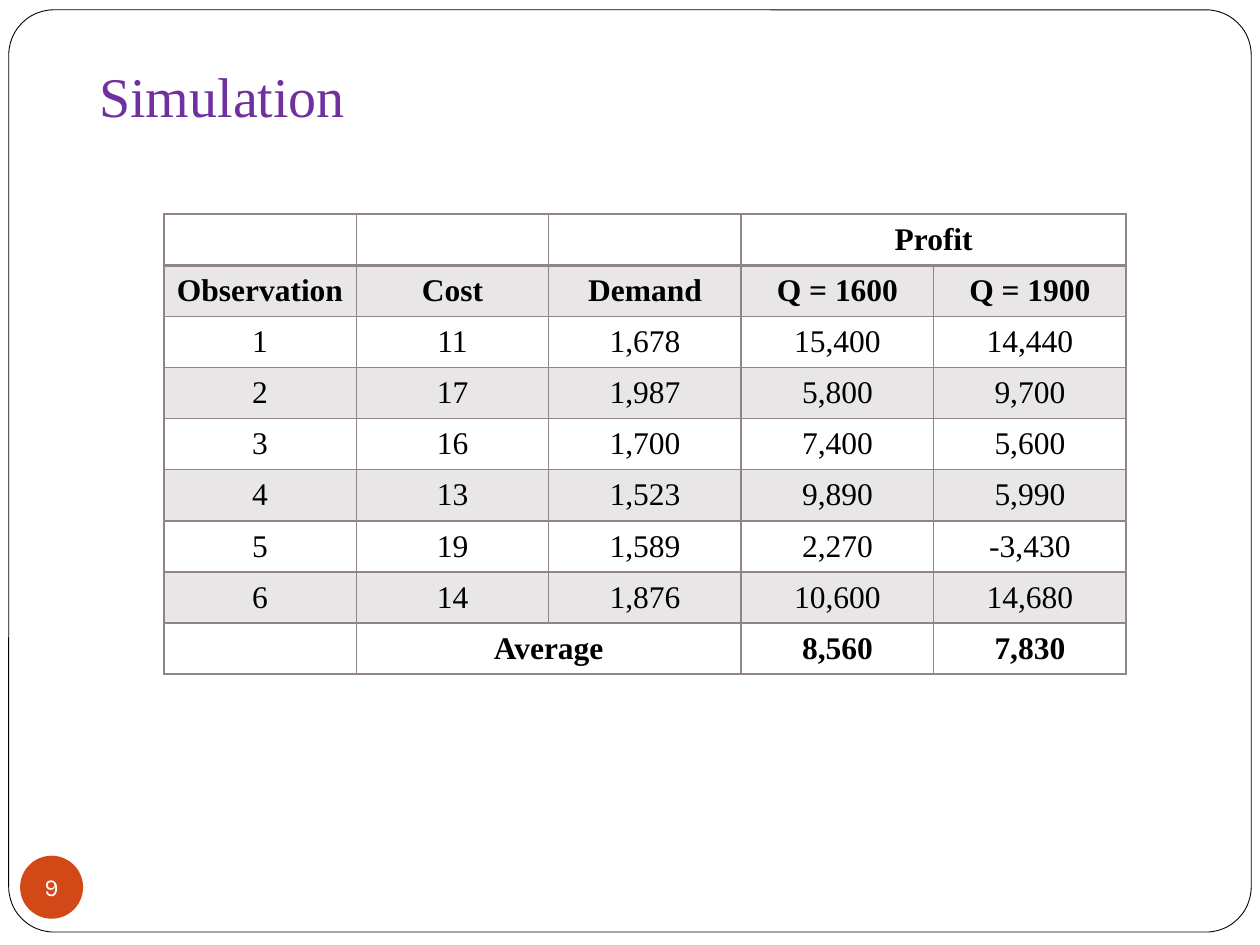
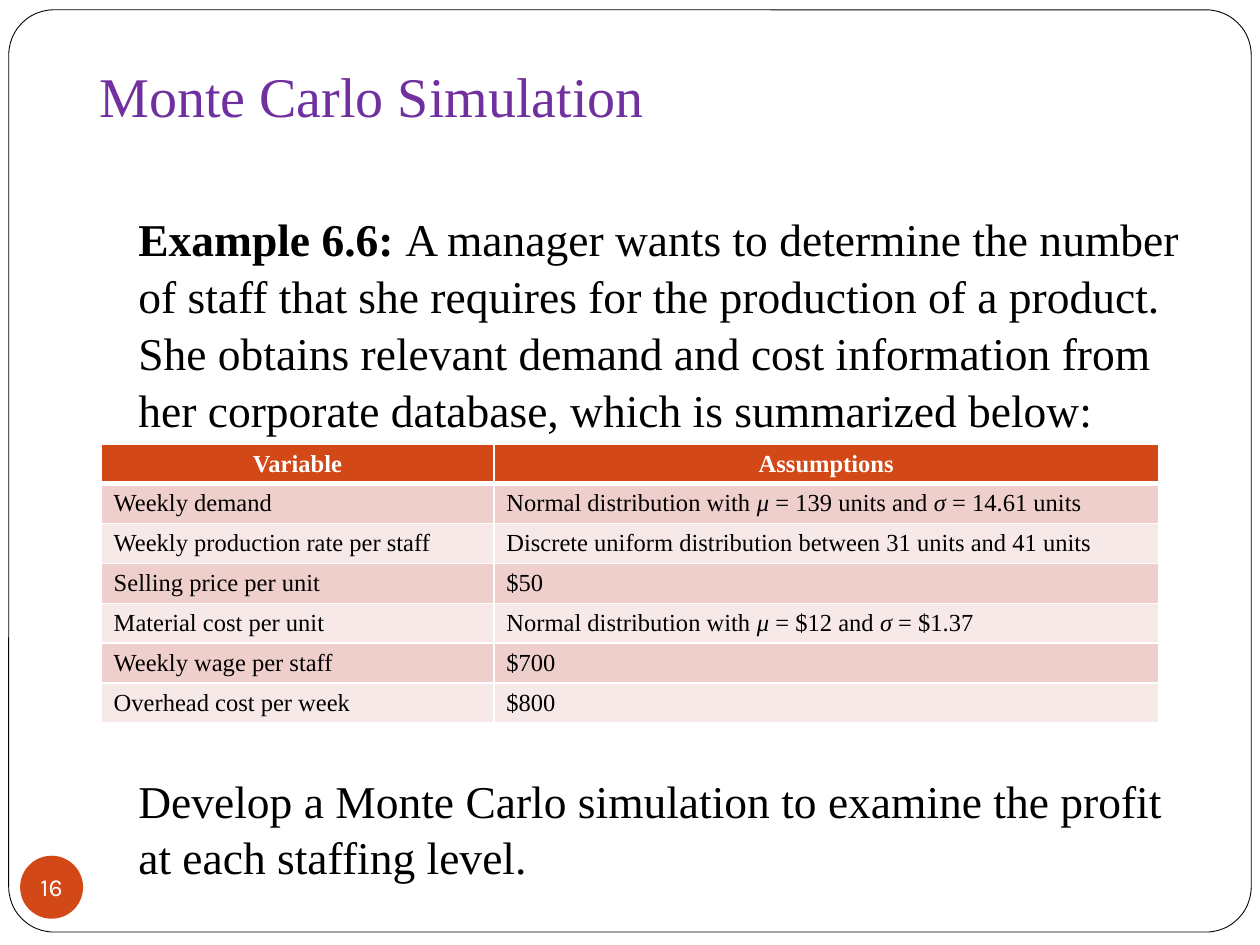
from lxml import etree
from pptx import Presentation
from pptx import util as u
from pptx.dml.color import RGBColor
from pptx.enum import shapes, text
from pptx.oxml.ns import qn

Pt = u.Pt
rgb = RGBColor.from_string
SERIF, SANS = "Times New Roman", "Karla"
PURPLE, ORANGE, BLACK, WHITE = "7030A0", "D34817", "000000", "FFFFFF"
TAUPE, TAUPE_TINT = "918485", "E9E6E7"
ROSE, ROSE_TINT = "EFCFCC", "F7E9E8"
LEFT, CENTER = text.PP_ALIGN.LEFT, text.PP_ALIGN.CENTER
MIDDLE, BOTTOM = text.MSO_ANCHOR.MIDDLE, text.MSO_ANCHOR.BOTTOM


def write(p, content, size, color, face=SERIF, align=LEFT, bold=False, mark="italic"):
    """Add runs to a paragraph; parts between asterisks get the mark format."""
    p.alignment = align
    p.font.size = Pt(size)
    for i, part in enumerate(content.split("*")):
        if not part:
            continue
        r = p.add_run()
        r.text = part
        fmt = {"name": face, "size": Pt(size), "bold": bold, "italic": False}
        if i % 2:
            fmt[mark] = True
        for key, value in fmt.items():
            setattr(r.font, key, value)
        r.font.color.rgb = rgb(color)


def style_cell(cell, fill, line, top, bottom):
    """Set margins, borders (top and bottom widths in points) and fill."""
    fmt = {"margin_left": Pt(side_margin), "margin_right": Pt(side_margin),
           "margin_top": Pt(3), "margin_bottom": Pt(3), "vertical_anchor": MIDDLE}
    for key, value in fmt.items():
        setattr(cell, key, value)
    tcPr = cell._tc.get_or_add_tcPr()
    for tag, width in (("a:lnL", 1), ("a:lnR", 1), ("a:lnT", top), ("a:lnB", bottom)):
        ln = etree.SubElement(tcPr, qn(tag), w=str(Pt(width)))
        solid = etree.SubElement(ln, qn("a:solidFill"))
        etree.SubElement(solid, qn("a:srgbClr"), val=line)
    cell.fill.solid()
    cell.fill.fore_color.rgb = rgb(fill)


prs = Presentation()
prs.slide_width, prs.slide_height = Pt(720), Pt(540)

# Frame, title and number badge on every slide
slides = []
for title, number in (("Simulation", "9"), ("Monte Carlo Simulation", "16")):
    s = prs.slides.add_slide(prs.slide_layouts[6])
    slides.append(s)

    frame = s.shapes.add_shape(shapes.MSO_SHAPE.ROUNDED_RECTANGLE,
                               Pt(5), Pt(5.6), Pt(710), Pt(527))
    frame.adjustments[0] = 0.049
    frame.shadow.inherit = False
    frame.fill.solid()
    frame.fill.fore_color.rgb = rgb(WHITE)
    frame.line.color.rgb = rgb(BLACK)
    frame.line.width = Pt(0.5)

    tf = s.shapes.add_textbox(Pt(49.7), Pt(-9.4), Pt(612), Pt(90)).text_frame
    tf.word_wrap = True
    tf.vertical_anchor = BOTTOM
    tf.margin_bottom = Pt(7.2)
    write(tf.paragraphs[0], title, 32, PURPLE)

    badge = s.shapes.add_shape(shapes.MSO_SHAPE.OVAL, Pt(11.5), Pt(489), Pt(36), Pt(36))
    badge.shadow.inherit = False
    badge.fill.solid()
    badge.fill.fore_color.rgb = rgb(ORANGE)
    badge.line.fill.background()
    tf = badge.text_frame
    for key, value in {"margin_left": 0, "margin_right": 0, "margin_top": 0,
                       "margin_bottom": 0, "word_wrap": False,
                       "vertical_anchor": MIDDLE}.items():
        setattr(tf, key, value)
    write(tf.paragraphs[0], number, 14, WHITE, SANS, CENTER)

# Profit of six simulated observations
profits = [
    ("", "", "", "Profit", ""),
    ("Observation", "Cost", "Demand", "Q = 1600", "Q = 1900"),
    ("1", "11", "1,678", "15,400", "14,440"),
    ("2", "17", "1,987", "5,800", "9,700"),
    ("3", "16", "1,700", "7,400", "5,600"),
    ("4", "13", "1,523", "9,890", "5,990"),
    ("5", "19", "1,589", "2,270", "-3,430"),
    ("6", "14", "1,876", "10,600", "14,680"),
    ("", "Average", "", "8,560", "7,830"),
]
side_margin = 4
table = slides[0].shapes.add_table(9, 5, Pt(93.6), Pt(122.4), Pt(550), Pt(262.8)).table
table.horz_banding = False
for col in table.columns:
    col.width = Pt(110)
for i, values in enumerate(profits):
    table.rows[i].height = Pt(29.2)
    for j, value in enumerate(values):
        cell = table.cell(i, j)
        style_cell(cell, TAUPE_TINT if i % 2 else WHITE, TAUPE,
                   2 if i == 1 else 1, 2 if i == 0 else 1)
        write(cell.text_frame.paragraphs[0], value, 18, BLACK,
              align=CENTER, bold=i in (0, 1, 8))
table.cell(0, 3).merge(table.cell(0, 4))
table.cell(8, 1).merge(table.cell(8, 2))

# Staffing example around its table of assumptions
tf = slides[1].shapes.add_textbox(Pt(72), Pt(116), Pt(612), Pt(392)).text_frame
tf.word_wrap = True
example = ("*Example 6.6: *A manager wants to determine the number of staff that she "
           "requires for the production of a product. She obtains relevant demand and "
           "cost information from her corporate database, which is summarized below:")
task = "Develop a Monte Carlo simulation to examine the profit at each staffing level."
for p, content, before in ((tf.paragraphs[0], example, 0), (tf.add_paragraph(), task, 191)):
    p.space_before = Pt(before)
    p.line_spacing = 1.04
    write(p, content, 26, BLACK, mark="bold")

assumptions = [
    ("Variable", "Assumptions"),
    ("Weekly demand", "Normal distribution with *μ* = 139 units and *σ* = 14.61 units"),
    ("Weekly production rate per staff",
     "Discrete uniform distribution between 31 units and 41 units"),
    ("Selling price per unit", "$50"),
    ("Material cost per unit", "Normal distribution with *μ* = $12 and *σ* = $1.37"),
    ("Weekly wage per staff", "$700"),
    ("Overhead cost per week", "$800"),
]
side_margin = 7.2
table = slides[1].shapes.add_table(7, 2, Pt(57.8), Pt(253.6), Pt(604.4), Pt(158.9)).table
table.horz_banding = False
for col, width in zip(table.columns, (224.4, 380)):
    col.width = Pt(width)
for i, values in enumerate(assumptions):
    table.rows[i].height = Pt(22.7)
    head = i == 0
    for j, value in enumerate(values):
        cell = table.cell(i, j)
        style_cell(cell, ORANGE if head else ROSE if i % 2 else ROSE_TINT, WHITE,
                   3 if i == 1 else 1, 3 if head else 1)
        write(cell.text_frame.paragraphs[0], value, 14, WHITE if head else BLACK,
              align=CENTER if head else LEFT, bold=head)

prs.save("out.pptx")
